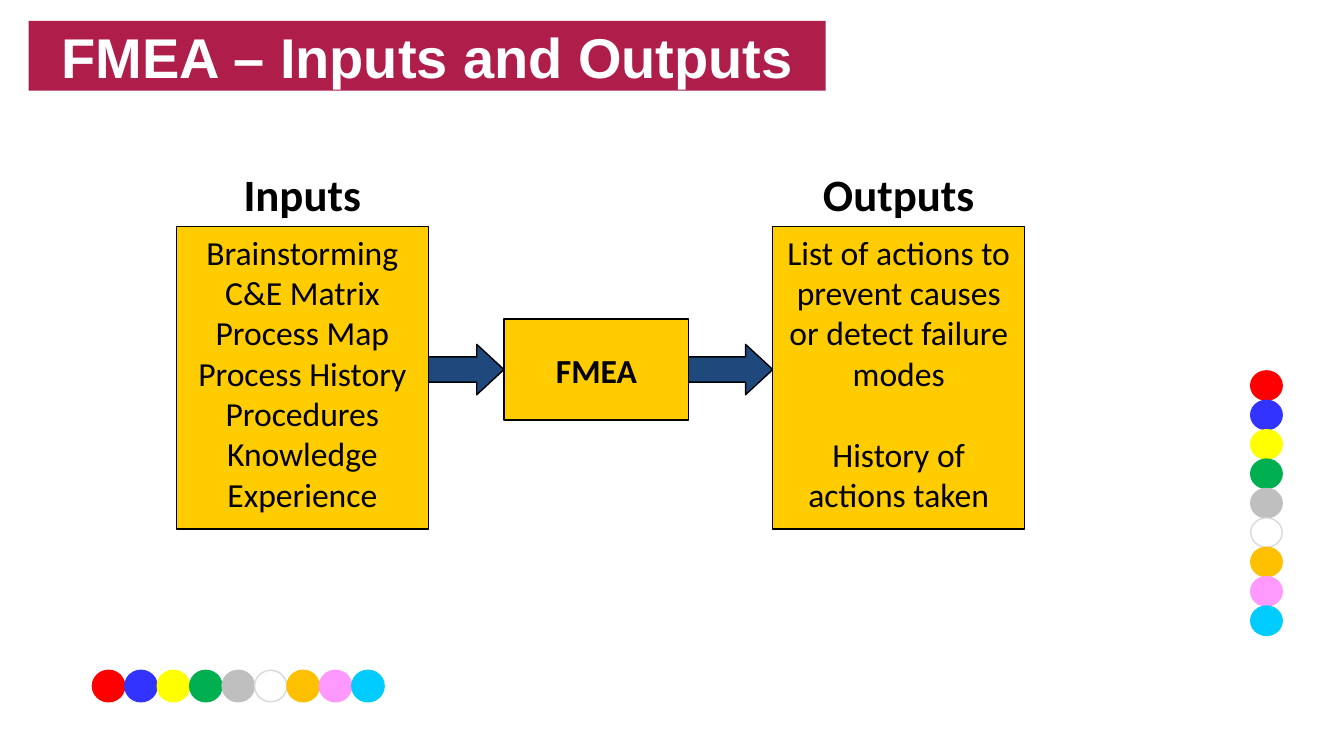
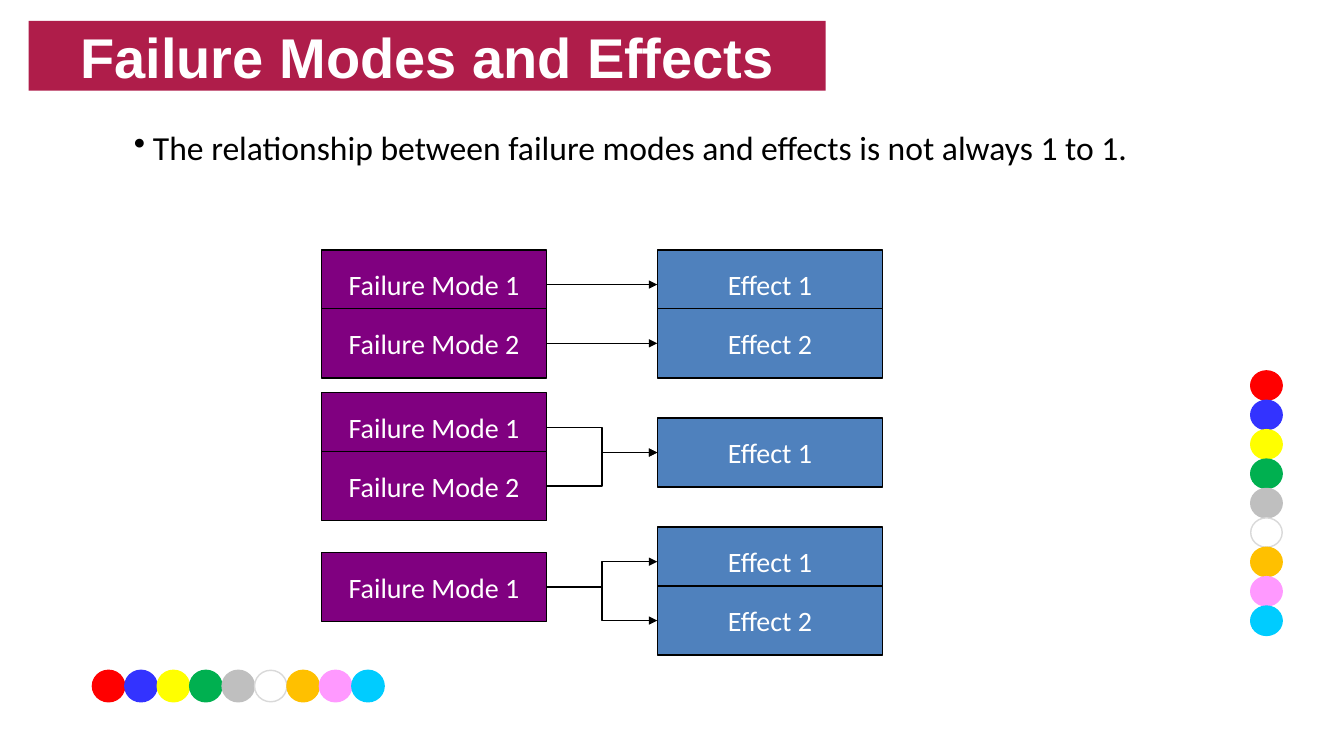
import dataclasses

import lxml.etree
import pptx
import pptx.dml.color
import pptx.enum.shapes
import pptx.enum.text
import pptx.oxml.ns
import pptx.util

SHAPES = pptx.enum.shapes.MSO_SHAPE
CONNECTORS = pptx.enum.shapes.MSO_CONNECTOR
ALIGN = pptx.enum.text.PP_ALIGN
ANCHOR = pptx.enum.text.MSO_ANCHOR

# The slide is a grid of 160 columns by 90 rows
CELL = pptx.util.Inches(1 / 12)
COLUMNS, ROWS = 160, 90


@dataclasses.dataclass(frozen=True)
class Theme:
    title_font: str = "Arial"
    body_font: str = "Calibri"
    title_size: int = 40
    heading_size: int = 32
    body_size: int = 24
    label_size: int = 20
    line_width: int = 1
    band: str = "AF1D4A"
    dark: str = "000000"
    light: str = "FFFFFF"
    panel: str = "FFCC00"
    arrow: str = "1F497D"
    mode: str = "800080"
    effect: str = "4F81BD"
    # Fill and line of each dot
    dots: tuple = (
        ("FF0000", "FF0000"), ("3333FF", "3333FF"), ("FFFF00", "FFFF00"),
        ("00B050", "00B050"), ("BFBFBF", "BFBFBF"), ("FFFFFF", "D9D9D9"),
        ("FFC000", "FFC000"), ("FF99FF", "FF99FF"), ("00CCFF", "00CCFF"),
    )


THEME = Theme()


@dataclasses.dataclass(frozen=True)
class Box:
    """A rectangle measured in grid cells."""
    left: float
    top: float
    width: float
    height: float

    def inner(self, left, top, width, height):
        return Box(self.left + left, self.top + top, width, height)

    def lengths(self):
        cells = (self.left, self.top, self.width, self.height)
        return [round(value * CELL) for value in cells]


TITLE_BOX = Box(3.4, 2.5, 94.9, 8.3)


def color(value):
    return pptx.dml.color.RGBColor.from_string(value)


def add_figure(shapes, preset, box, fill, line):
    figure = shapes.add_shape(preset, *box.lengths())
    figure.shadow.inherit = False
    figure.fill.solid()
    figure.fill.fore_color.rgb = color(fill)
    figure.line.color.rgb = color(line)
    figure.line.width = pptx.util.Pt(THEME.line_width)
    return figure


def style_para(para, size, ink=THEME.dark, bold=False, font=THEME.body_font,
               align=ALIGN.CENTER):
    para.alignment = align
    para.font.name = font
    para.font.size = pptx.util.Pt(size)
    para.font.bold = bold
    para.font.color.rgb = color(ink)


def write(shape, lines, size, anchor=ANCHOR.MIDDLE, wrap=True, gap=0, **style):
    frame = shape.text_frame
    frame.word_wrap = wrap
    frame.vertical_anchor = anchor
    for index, line in enumerate(lines):
        para = frame.paragraphs[0] if index == 0 else frame.add_paragraph()
        para.text = line
        style_para(para, size, **style)
        if index and gap:
            para.space_before = pptx.util.Pt(gap)


def add_text(page, box, line, size, **style):
    text = page.shapes.add_textbox(*box.lengths())
    write(text, [line], size, anchor=ANCHOR.TOP, **style)
    return text


# Shared parts

def add_dots(page, layout, first, step_across, step_down):
    """Build a chain of dots and hand it to the layout."""
    group = page.shapes.add_group_shape()
    for index, (fill, line) in enumerate(THEME.dots):
        spot = first.inner(index * step_across, index * step_down,
                           first.width, first.height)
        add_figure(group.shapes, SHAPES.FLOWCHART_CONNECTOR, spot, fill, line)
    layout.shapes.element.append(group.element)


def clear_footers(layout):
    for holder in list(layout.placeholders):
        if holder.placeholder_format.idx != 0:
            layout.shapes.element.remove(holder.element)


def add_page(deck, layout, heading):
    page = deck.slides.add_slide(layout)
    title = page.shapes.title
    title.left, title.top, title.width, title.height = TITLE_BOX.lengths()
    title.fill.solid()
    title.fill.fore_color.rgb = color(THEME.band)
    frame = title.text_frame
    frame.auto_size = pptx.enum.text.MSO_AUTO_SIZE.NONE
    frame.margin_left = frame.margin_right = 0
    frame.margin_top = frame.margin_bottom = 0
    write(title, [heading], THEME.title_size, ink=THEME.light, bold=True,
          font=THEME.title_font)
    return page


# Inputs and outputs

def add_panel(page, box, heading, lines, gap=0):
    heading_box = box.inner(3.5, -7.7, box.width - 7, 7.7)
    add_text(page, heading_box, heading, THEME.heading_size, bold=True)
    panel = add_figure(page.shapes, SHAPES.RECTANGLE, box, THEME.panel, THEME.dark)
    write(panel, lines, THEME.body_size, anchor=ANCHOR.TOP, gap=gap)


def add_flow(page, area):
    # Arrows start beneath the boxes they leave
    for column in (26, 58):
        arrow = add_figure(page.shapes, SHAPES.RIGHT_ARROW,
                           area.inner(column, 14, 13, 6), THEME.arrow, THEME.dark)
        arrow.adjustments[1] = 0.54
    center = add_figure(page.shapes, SHAPES.RECTANGLE,
                        area.inner(39, 11, 22, 12), THEME.panel, THEME.dark)
    write(center, ["FMEA"], THEME.body_size, wrap=False, bold=True)
    add_panel(page, area.inner(0, 0, 30, area.height), "Inputs",
              ["Brainstorming", "C&E Matrix", "Process Map", "Process History",
               "Procedures", "Knowledge", "Experience"])
    add_panel(page, area.inner(71, 0, 30, area.height), "Outputs",
              ["List of actions to prevent causes or detect failure modes",
               "History of actions taken"], gap=29)


# Failure modes and effects

def add_bullet(page, box, line):
    text = page.shapes.add_textbox(*box.lengths())
    para = text.text_frame.paragraphs[0]
    indent = pptx.util.Inches(0.19)
    properties = para._p.get_or_add_pPr()
    properties.set("marL", str(indent))
    properties.set("indent", str(-indent))
    lxml.etree.SubElement(properties, pptx.oxml.ns.qn("a:buChar"), char="•")
    write(text, [line], THEME.body_size, anchor=ANCHOR.TOP, align=ALIGN.LEFT)
    para.line_spacing = 0.9


def add_stack(page, box, name, count, fill):
    """Stack numbered boxes; a lone one sits lower in its region."""
    offset = 3 if count == 1 else 0
    stack = []
    for index in range(count):
        item = add_figure(page.shapes, SHAPES.RECTANGLE,
                          box.inner(0, offset + 7 * index, box.width, 8.25),
                          fill, THEME.dark)
        write(item, [f"{name} {index + 1}"], THEME.label_size, wrap=False,
              ink=THEME.light)
        stack.append(item)
    return stack


def add_link(page, source, target):
    level = source.top == target.top
    kind = CONNECTORS.STRAIGHT if level else CONNECTORS.ELBOW
    link = page.shapes.add_connector(kind, 0, 0, 0, 0)
    link.begin_connect(source, 3)
    link.end_connect(target, 1)
    link.line.color.rgb = color(THEME.dark)
    link.line.width = pptx.util.Pt(THEME.line_width)
    qn = pptx.oxml.ns.qn
    lxml.etree.SubElement(link.line._get_or_add_ln(), qn("a:tailEnd"), type="triangle")
    lxml.etree.SubElement(link.element.spPr, qn("a:effectLst"))


def add_mapping(page, area, mode_count, effect_count):
    width = 26.85
    modes = add_stack(page, area.inner(0, 0, width, area.height),
                      "Failure Mode", mode_count, THEME.mode)
    effects = add_stack(page, area.inner(area.width - width, 0, width, area.height),
                        "Effect", effect_count, THEME.effect)
    # Pair the boxes one to one, or join all of them to a lone box
    for index in range(max(mode_count, effect_count)):
        add_link(page, modes[min(index, mode_count - 1)],
                 effects[min(index, effect_count - 1)])


def main():
    deck = pptx.Presentation()
    deck.slide_width, deck.slide_height = COLUMNS * CELL, ROWS * CELL
    layout = deck.slide_layouts[5]
    clear_footers(layout)

    page = add_page(deck, layout, "FMEA – Inputs and Outputs")
    add_dots(page, layout, Box(148.9, 44.15, 3.75, 3.5), 0, 3.5)
    add_dots(page, layout, Box(11, 79.8, 3.85, 3.75), 3.86, 0)
    add_flow(page, Box(21, 27, 101, 36))

    page = add_page(deck, layout, "Failure Modes and Effects")
    add_bullet(page, Box(14.75, 15, 134.9, 8.3),
               "The relationship between failure modes and effects is not always 1 to 1.")
    for top, mode_count, effect_count in ((29.75, 2, 2), (46.75, 2, 1), (62.75, 1, 2)):
        add_mapping(page, Box(38.25, top, 66.85, 15.25), mode_count, effect_count)

    deck.save("out.pptx")


if __name__ == "__main__":
    main()
